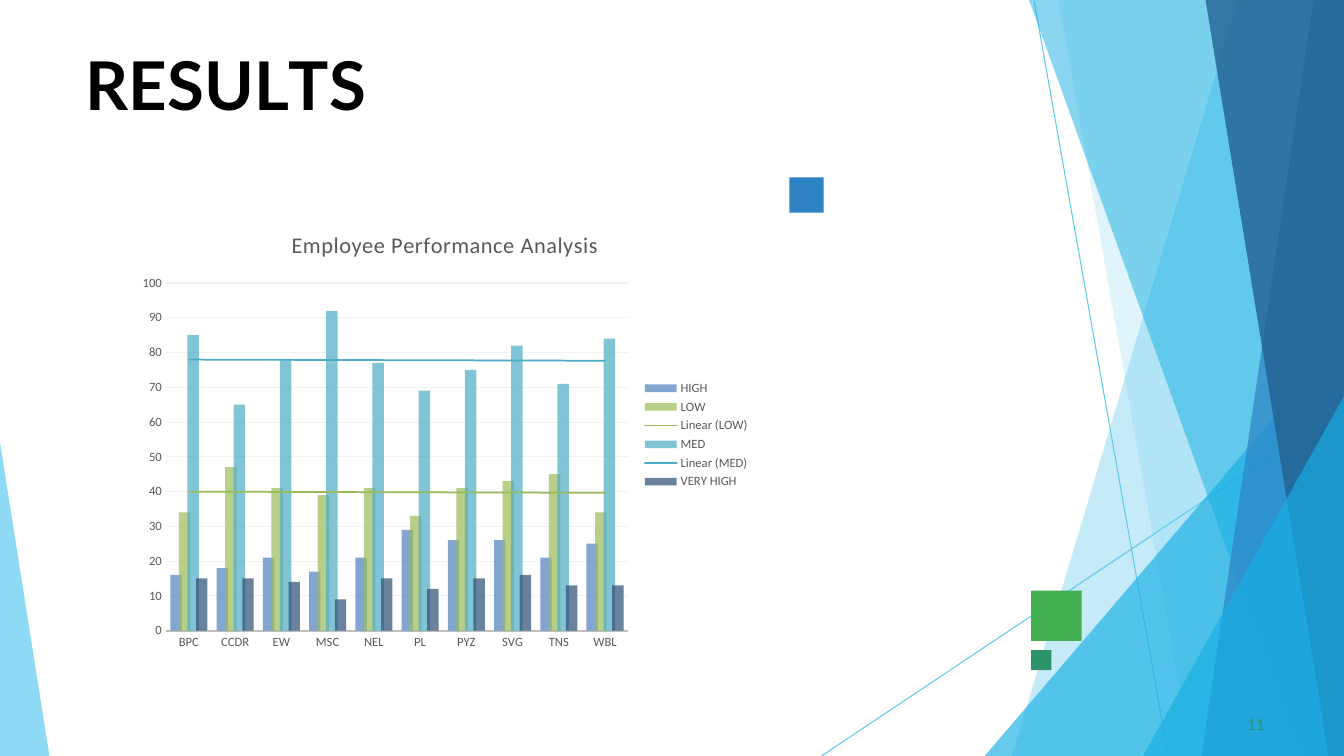
from lxml import etree
from pptx import Presentation
from pptx.chart.data import CategoryChartData
from pptx.dml.color import RGBColor
from pptx.enum import chart as ch, shapes as sh
from pptx.oxml import parse_xml
from pptx.oxml.ns import nsdecls, qn
from pptx.util import Pt

WIDTH, HEIGHT = 960, 540
COLORS = {
    "sky": "5FCAEE", "cyan": "17AFE3", "blue": "2D83C3", "navy": "226192",
    "green": "42AF51", "teal": "2D936B", "black": "000000", "label": "595959",
    "axis": "BFBFBF", "grid": "F2F2F2", "high": "4F81BD", "low": "9BBB59",
    "med": "4BACC6", "very_high": "2C4D75",
}
RAYS = [(738.7, 0.7, 834.5, HEIGHT), (WIDTH, 290.9, 586.8, HEIGHT)]
# Each facet: colour, opacity in percent, corner points
FACETS = [
    ("sky", 36, [(WIDTH, 0), (884.2, 0), (722.9, HEIGHT), (WIDTH, HEIGHT)]),
    ("sky", 20, [(WIDTH, 0), (756, 0), (851, HEIGHT), (WIDTH, HEIGHT)]),
    ("cyan", 66, [(WIDTH, 239.8), (703.4, HEIGHT), (WIDTH, HEIGHT)]),
    ("cyan", 50, [(WIDTH, 0), (735.1, 0), (929.5, HEIGHT), (WIDTH, HEIGHT)]),
    ("blue", 70, [(WIDTH, 0), (938.2, 0), (858.2, HEIGHT), (WIDTH, HEIGHT)]),
    ("navy", 80, [(WIDTH, 0), (861.1, 0), (949, HEIGHT), (WIDTH, HEIGHT)]),
    ("cyan", 66, [(WIDTH, 283), (816.5, HEIGHT), (WIDTH, HEIGHT)]),
    ("sky", 70, [(0, 316.1), (0, HEIGHT), (35.3, HEIGHT)]),
]
SQUARES = [
    ("green", 736.6, 421.9, 36, 36),
    ("blue", 563.8, 126.7, 24.5, 25.2),
    ("teal", 736.6, 464.4, 14.4, 14.4),
]
# Letters of the title with their spacing in points
TITLE = [("R", 0), ("E", -0.4), ("S", 0.1), ("U", -0.3), ("L", -4), ("TS", 0)]
DEPARTMENTS = ["BPC", "CCDR", "EW", "MSC", "NEL", "PL", "PYZ", "SVG", "TNS", "WBL"]
# Each rating: name, colour, has trend line, values
RATINGS = [
    ("HIGH", "high", False, [16, 18, 21, 17, 21, 29, 26, 26, 21, 25]),
    ("LOW", "low", True, [34, 47, 41, 39, 41, 33, 41, 43, 45, 34]),
    ("MED", "med", True, [85, 65, 78, 92, 77, 69, 75, 82, 71, 84]),
    ("VERY HIGH", "very_high", False, [15, 15, 14, 9, 15, 12, 15, 16, 13, 13]),
]


def rgb(color):
    return RGBColor.from_string(COLORS[color])


def fill_solid(item, color, opacity=100):
    """Fill a shape or a chart format; opacity is in percent."""
    item.fill.solid()
    item.fill.fore_color.rgb = rgb(color)
    if opacity < 100:
        tag = item.fill._xPr.find(".//" + qn("a:srgbClr"))
        etree.SubElement(tag, qn("a:alpha")).set("val", str(opacity * 1000))


def style_line(line, color, width):
    line.color.rgb = rgb(color)
    line.width = Pt(width)


def style_font(font, name, size, color, bold=False):
    font.name, font.size, font.bold = name, Pt(size), bold
    font.color.rgb = rgb(color)


def finish_shape(shape, color, opacity=100):
    fill_solid(shape, color, opacity)
    shape.line.fill.background()
    shape.shadow.inherit = False


def add_ray(slide, ends):
    ray = slide.shapes.add_connector(sh.MSO_CONNECTOR.STRAIGHT, *map(Pt, ends))
    style_line(ray.line, "sky", 0.75)
    etree.SubElement(ray._element.spPr, qn("a:effectLst"))


def add_facet(slide, color, opacity, points):
    corners = [(Pt(x), Pt(y)) for x, y in points]
    builder = slide.shapes.build_freeform(*corners[0])
    builder.add_line_segments(corners[1:], close=True)
    finish_shape(builder.convert_to_shape(), color, opacity)


def add_square(slide, color, *place):
    square = slide.shapes.add_shape(sh.MSO_SHAPE.RECTANGLE, *map(Pt, place))
    finish_shape(square, color)


def add_text(slide, place, pieces, size, color, bold=False, indent=0, before=0):
    """Add one line of text from (text, letter spacing) pieces."""
    box = slide.shapes.add_textbox(*map(Pt, place))
    frame = box.text_frame
    frame.word_wrap = True
    frame.margin_left = frame.margin_right = frame.margin_bottom = 0
    frame.margin_top = Pt(0.9)
    para = frame.paragraphs[0]
    para.space_before = Pt(before)
    para._p.get_or_add_pPr().set("marL", str(Pt(indent)))
    style_font(para.font, "Lato", size, color, bold)
    for text, spacing in pieces:
        span = para.add_run()
        span.text = text
        span._r.get_or_add_rPr().set("spc", str(round(spacing * 100)))


def add_trend(series, color):
    trend = parse_xml(
        f'<c:trendline {nsdecls("c", "a")}><c:spPr><a:ln w="{Pt(1.25)}" cap="rnd">'
        f'<a:solidFill><a:srgbClr val="{COLORS[color]}"/></a:solidFill></a:ln></c:spPr>'
        '<c:trendlineType val="linear"/><c:dispRSqr val="0"/><c:dispEq val="0"/>'
        '</c:trendline>')
    series._element.find(qn("c:cat")).addprevious(trend)


def style_axes(chart):
    for axis in (chart.category_axis, chart.value_axis):
        axis.major_tick_mark = axis.minor_tick_mark = ch.XL_TICK_MARK.NONE
        style_font(axis.tick_labels.font, "Calibri", 9, "label")
    style_line(chart.category_axis.format.line, "axis", 1.25)
    chart.value_axis.format.line.fill.background()
    style_line(chart.value_axis.major_gridlines.format.line, "grid", 0.75)


def add_performance_chart(slide, place):
    data = CategoryChartData()
    data.categories = DEPARTMENTS
    for name, _, _, values in RATINGS:
        data.add_series(name, values)
    chart = slide.shapes.add_chart(
        ch.XL_CHART_TYPE.COLUMN_CLUSTERED, *map(Pt, place), data).chart
    style_font(chart.font, "Calibri", 10, "black")

    title = chart.chart_title.text_frame
    title.text = "Employee Performance Analysis"
    para = title.paragraphs[0]
    style_font(para.font, "Calibri", 16, "label")
    para.runs[0]._r.get_or_add_rPr().set("spc", "50")

    chart.has_legend = True
    chart.legend.position = ch.XL_LEGEND_POSITION.RIGHT
    chart.legend.include_in_layout = False
    style_font(chart.legend.font, "Calibri", 9, "label")
    style_axes(chart)

    plot = chart.plots[0]
    plot.gap_width, plot.overlap = 80, 25
    plot.vary_by_categories = False
    for series, (_, color, has_trend, _) in zip(plot.series, RATINGS):
        fill_solid(series.format, color, 70)
        if has_trend:
            add_trend(series, color)


def main():
    deck = Presentation()
    deck.slide_width, deck.slide_height = Pt(WIDTH), Pt(HEIGHT)
    slide = deck.slides.add_slide(deck.slide_layouts[6])
    for ends in RAYS:
        add_ray(slide, ends)
    for facet in FACETS:
        add_facet(slide, *facet)
    for square in SQUARES:
        add_square(slide, *square)
    add_text(slide, (60, 30.2, 228, 60), TITLE, 48, "black",
             bold=True, indent=0.9, before=1.1)
    add_text(slide, (887.8, 509.8, 18, 15), [("11", 0.1)], 11, "teal",
             indent=3, before=0.6)
    add_performance_chart(slide, (92.9, 151.2, 450, 319))
    deck.save("out.pptx")


if __name__ == "__main__":
    main()
